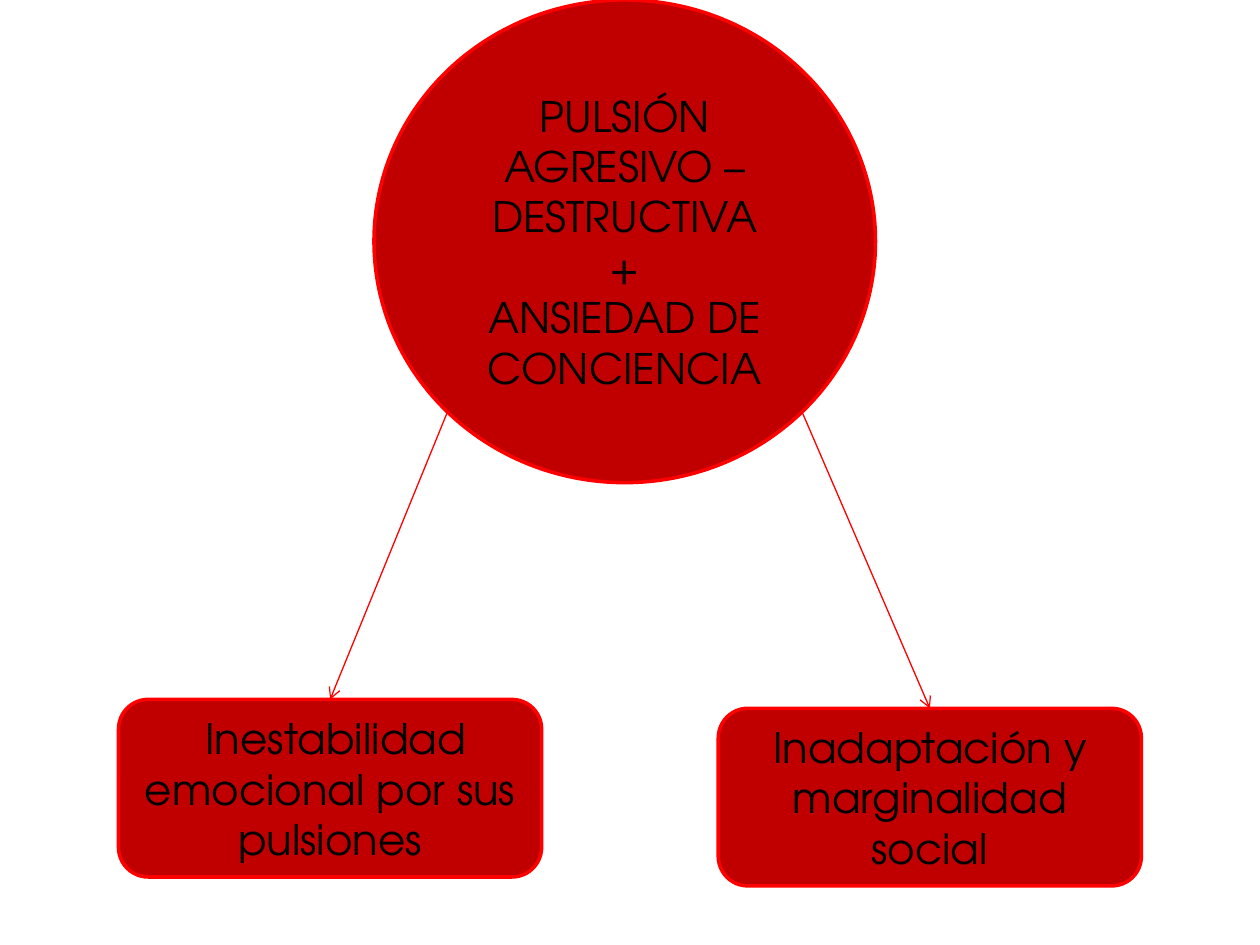
from dataclasses import dataclass
from math import sqrt

from lxml import etree
from pptx import Presentation
from pptx.dml.color import RGBColor
from pptx.enum.shapes import MSO_CONNECTOR, MSO_SHAPE
from pptx.enum.text import MSO_ANCHOR, PP_ALIGN
from pptx.oxml.ns import qn
from pptx.util import Cm, Pt

ELLIPSE = MSO_SHAPE.OVAL
ROUNDED = MSO_SHAPE.ROUNDED_RECTANGLE
STRAIGHT = MSO_CONNECTOR.STRAIGHT
MIDDLE = MSO_ANCHOR.MIDDLE
CENTER = PP_ALIGN.CENTER


@dataclass(frozen=True)
class Theme:
    fill: RGBColor = RGBColor(0xC0, 0x00, 0x00)
    line: RGBColor = RGBColor(0xFF, 0x00, 0x00)
    text: RGBColor = RGBColor(0x00, 0x00, 0x00)
    font: str = "TeX Gyre Adventor"
    size: Pt = Pt(24)
    outline: Pt = Pt(2)
    arrow: Pt = Pt(0.75)


theme = Theme()


def add_node(page, preset, left, top, width, height, lines):
    """Add a filled shape with one centred paragraph per line."""
    node = page.shapes.add_shape(preset, left, top, width, height)
    node.shadow.inherit = False
    node.fill.solid()
    node.fill.fore_color.rgb = theme.fill
    node.line.color.rgb = theme.line
    node.line.width = theme.outline
    frame = node.text_frame
    frame.word_wrap = True
    frame.vertical_anchor = MIDDLE
    frame.text = "\n".join(lines)
    for paragraph in frame.paragraphs:
        paragraph.alignment = CENTER
        paragraph.font.name = theme.font
        paragraph.font.size = theme.size
        paragraph.font.color.rgb = theme.text
    return node


def add_arrow(page, start, end):
    arrow = page.shapes.add_connector(STRAIGHT, *start, *end)
    arrow.line.color.rgb = theme.line
    arrow.line.width = theme.arrow
    etree.SubElement(arrow.line._get_or_add_ln(), qn("a:tailEnd"), type="arrow")
    etree.SubElement(arrow._element.spPr, qn("a:effectLst"))


deck = Presentation()
deck.slide_width = Cm(25.4)
deck.slide_height = Cm(19.05)
page = deck.slides.add_slide(deck.slide_layouts[6])

cause = add_node(
    page, ELLIPSE, Cm(7.54), Cm(0), Cm(10.11), Cm(9.73),
    ["PULSIÓN AGRESIVO – DESTRUCTIVA", "+", "ANSIEDAD DE CONCIENCIA"],
)

# Each effect: side of the ellipse its arrow leaves from, left, top, text
effects = [
    (-1, Cm(2.39), Cm(14.1), " Inestabilidad emocional por sus pulsiones"),
    (1, Cm(14.48), Cm(14.28), "Inadaptación y marginalidad social"),
]
for side, left, top, text in effects:
    effect = add_node(page, ROUNDED, left, top, Cm(8.53), Cm(3.58), [text])
    # Arrows leave the ellipse at its lower diagonals
    start = (
        int(cause.left + cause.width / 2 * (1 + side / sqrt(2))),
        int(cause.top + cause.height / 2 * (1 + 1 / sqrt(2))),
    )
    add_arrow(page, start, (effect.left + effect.width // 2, effect.top))

deck.save("out.pptx")
